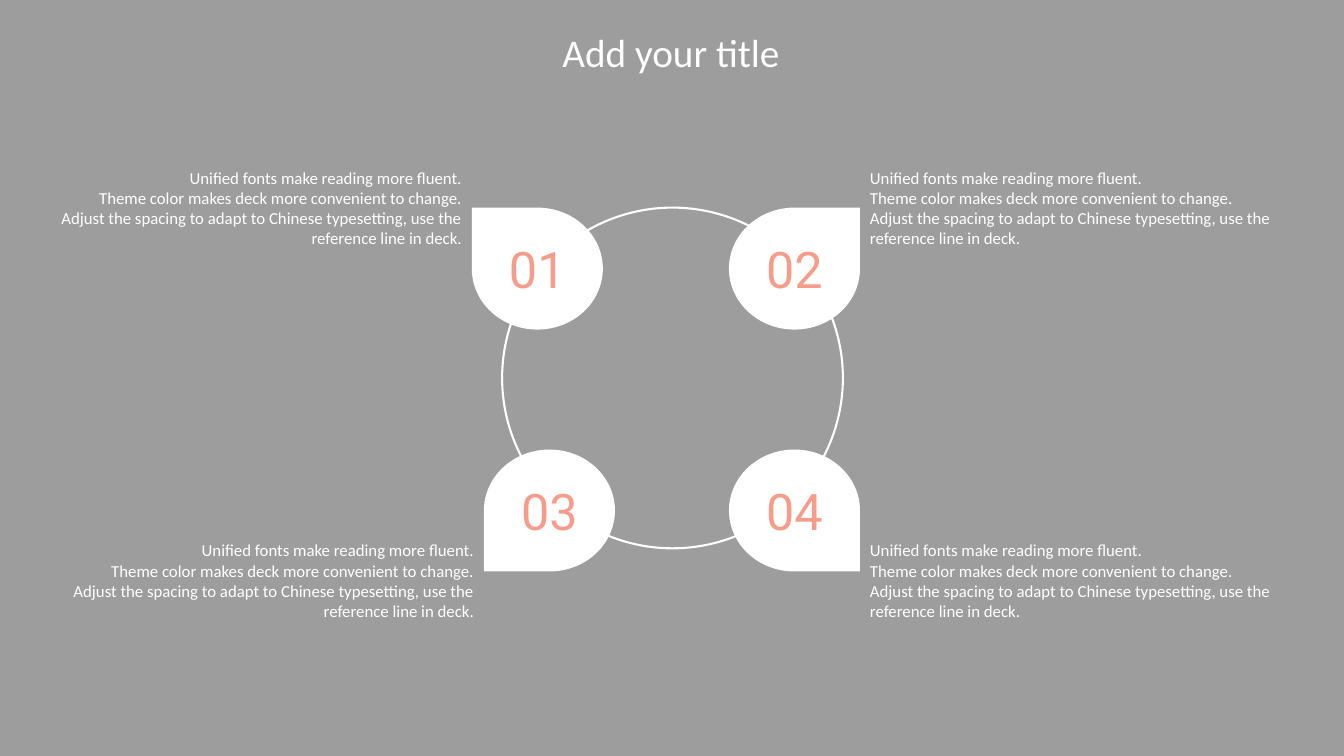
import pptx
import pptx.dml.color
import pptx.enum.shapes
import pptx.enum.text
import pptx.util

Inches = pptx.util.Inches
Shape = pptx.enum.shapes.MSO_SHAPE
Align = pptx.enum.text.PP_ALIGN
Anchor = pptx.enum.text.MSO_ANCHOR

COLORS = {"background": "9D9D9D", "white": "FFFFFF", "number": "F69C8A"}
BODY_LINES = [
    "Unified fonts make reading more fluent.",
    "Theme color makes deck more convenient to change.",
    "Adjust the spacing to adapt to Chinese typesetting, use the reference line in deck.",
]
DROP_WIDTH, DROP_HEIGHT = 1.3, 1.21
LABEL_WIDTH, LABEL_HEIGHT = 0.8, 0.71
BODY_WIDTH, BODY_HEIGHT = 4.52, 0.91
# number, drop left, drop top, body top, on the left side, in the lower row
ITEMS = [
    ("01", 4.68, 2.06, 1.61, True, False),
    ("02", 7.23, 2.06, 1.61, False, False),
    ("03", 4.8, 4.46, 5.31, True, True),
    ("04", 7.23, 4.46, 5.31, False, True),
]


def rgb(name):
    return pptx.dml.color.RGBColor.from_string(COLORS[name])


def write(shape, lines, font, size, color, align, anchor=Anchor.TOP):
    frame = shape.text_frame
    frame.word_wrap = True
    frame.vertical_anchor = anchor
    for index, line in enumerate(lines):
        para = frame.add_paragraph() if index else frame.paragraphs[0]
        para.alignment = align
        span = para.add_run()
        span.text = line
        span.font.name = font
        span.font.size = pptx.util.Pt(size)
        span.font.color.rgb = rgb(color)


def add_title(page, left, top, width, height):
    title = page.shapes.title
    title.left, title.top = Inches(left), Inches(top)
    title.width, title.height = Inches(width), Inches(height)
    write(title, ["Add your title"], "Calibri", 28, "white", Align.CENTER)


def add_ring(page, left, top, size):
    ring = page.shapes.add_shape(
        Shape.OVAL, Inches(left), Inches(top), Inches(size), Inches(size))
    ring.shadow.inherit = False
    ring.fill.background()
    ring.line.color.rgb = rgb("white")
    ring.line.width = pptx.util.Pt(1.5)


def add_drop(page, number, left, top, is_left, is_lower):
    """Add a numbered teardrop whose tip points away from the ring."""
    drop = page.shapes.add_shape(
        Shape.TEAR, Inches(left), Inches(top), Inches(DROP_WIDTH), Inches(DROP_HEIGHT))
    drop.shadow.inherit = False
    drop.fill.solid()
    drop.fill.fore_color.rgb = rgb("white")
    drop.line.fill.background()
    frame = drop.element.spPr.xfrm
    if is_left:
        frame.set("flipH", "1")
    label = drop
    if is_lower:
        # A vertical flip turns the shape's own text upside down.
        frame.set("flipV", "1")
        label = page.shapes.add_textbox(
            Inches(left + (DROP_WIDTH - LABEL_WIDTH) / 2),
            Inches(top + (DROP_HEIGHT - LABEL_HEIGHT) / 2),
            Inches(LABEL_WIDTH), Inches(LABEL_HEIGHT))
    write(label, [number], "Roboto", 36, "number", Align.CENTER, Anchor.MIDDLE)


def add_item(page, number, left, top, body_top, is_left, is_lower):
    add_drop(page, number, left, top, is_left, is_lower)
    body_left = left - BODY_WIDTH if is_left else left + DROP_WIDTH
    body = page.shapes.add_textbox(
        Inches(body_left), Inches(body_top), Inches(BODY_WIDTH), Inches(BODY_HEIGHT))
    write(body, BODY_LINES, "Calibri", 12, "white", Align.RIGHT if is_left else Align.LEFT)


def main():
    deck = pptx.Presentation()
    deck.slide_width, deck.slide_height = Inches(13.33), Inches(7.5)
    page = deck.slides.add_slide(deck.slide_layouts[5])
    page.background.fill.solid()
    page.background.fill.fore_color.rgb = rgb("background")
    add_title(page, 4.62, 0.23, 4.07, 0.57)
    add_ring(page, 4.98, 2.06, 3.38)
    for item in ITEMS:
        add_item(page, *item)
    deck.save("out.pptx")


if __name__ == "__main__":
    main()
